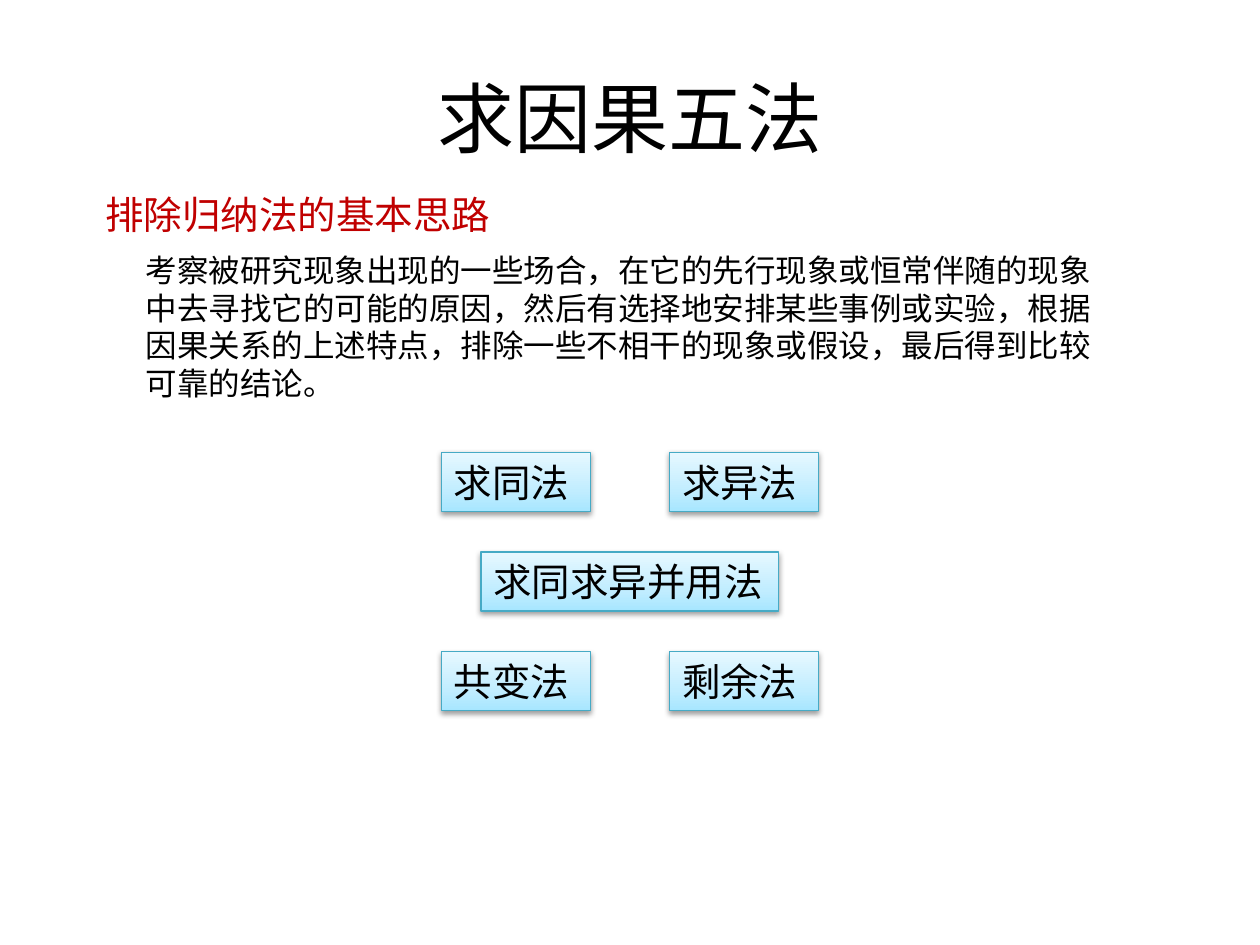
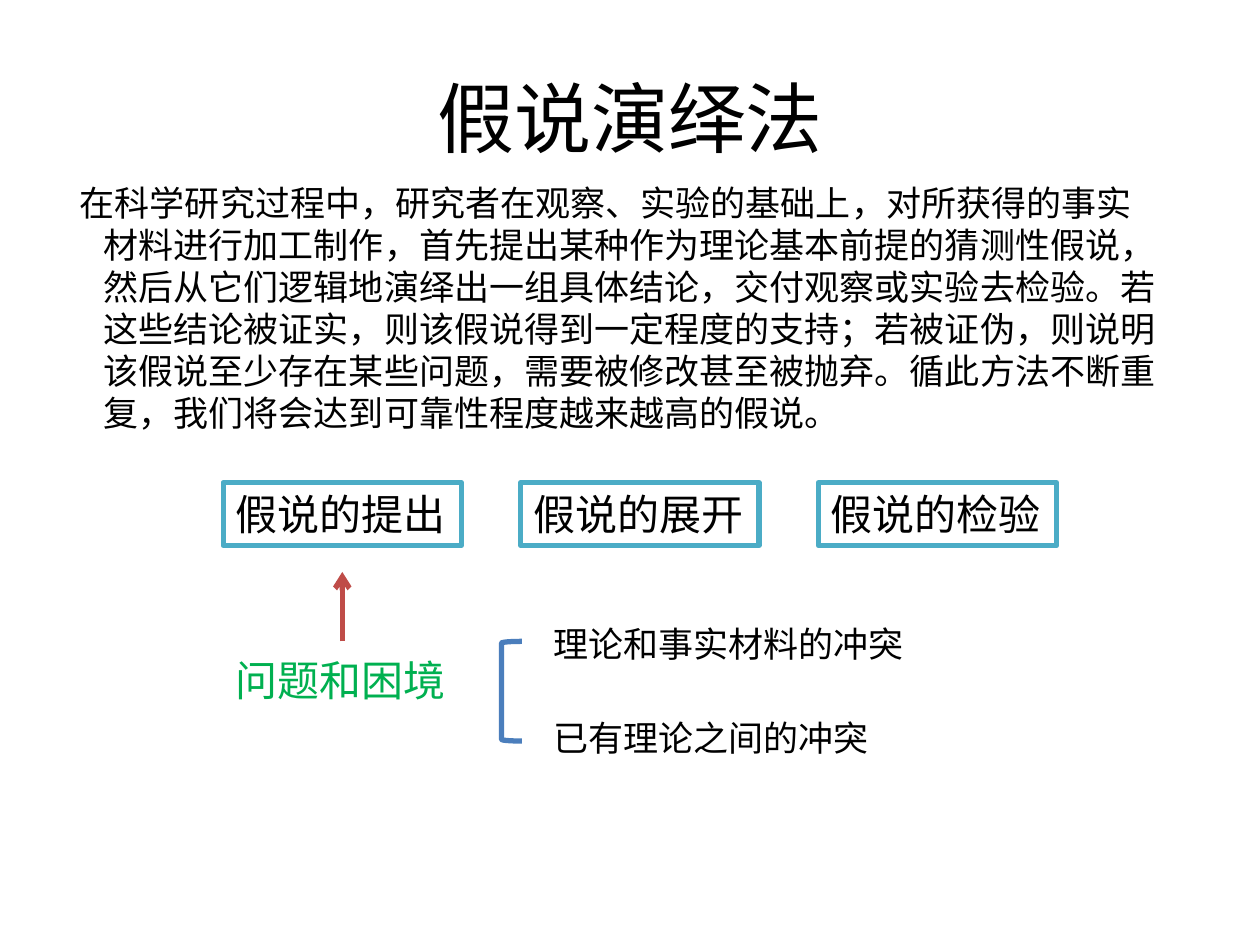
from copy import deepcopy

from lxml.etree import SubElement
from pptx import Presentation
from pptx.dml.color import RGBColor
from pptx.enum.shapes import MSO_CONNECTOR, MSO_SHAPE
from pptx.enum.text import MSO_ANCHOR, PP_ALIGN
from pptx.oxml.ns import qn
from pptx.util import Cm, Pt

BLACK = RGBColor(0x00, 0x00, 0x00)
WHITE = RGBColor(0xFF, 0xFF, 0xFF)
HEADING_RED = RGBColor(0xC0, 0x00, 0x00)
LABEL_GREEN = RGBColor(0x00, 0xB0, 0x50)
ARROW_RED = RGBColor(0xBF, 0x4C, 0x48)
BRACKET_BLUE = RGBColor(0x4B, 0x7E, 0xBC)
STAGE_TEAL = RGBColor(0x4B, 0xAC, 0xC6)
METHOD_TEAL = RGBColor(0x46, 0xAA, 0xC5)
METHOD_STOPS = [
    (0, RGBColor(0xA7, 0xE6, 0xFF)),
    (0.35, RGBColor(0xC1, 0xED, 0xFF)),
    (1, RGBColor(0xE7, 0xF8, 0xFF)),
]
FONT_SC = "Noto Sans CJK SC"
FONT_JP = "Noto Sans CJK JP"


def write_text(shape, text, size=22, color=BLACK, font=FONT_SC, align=PP_ALIGN.LEFT,
               anchor=MSO_ANCHOR.TOP, margin=0, indent=0):
    frame = shape.text_frame
    frame.word_wrap = True
    frame.vertical_anchor = anchor
    paragraph = frame.paragraphs[0]
    paragraph.alignment = align
    paragraph.line_spacing = Pt(round(size * 1.2, 1))
    properties = paragraph._p.get_or_add_pPr()
    properties.set("marL", str(Cm(margin)))
    properties.set("indent", str(Cm(indent)))
    run = paragraph.add_run()
    run.text = text
    run.font.size = Pt(size)
    run.font.color.rgb = color
    run.font.name = font
    SubElement(run._r.get_or_add_rPr(), qn("a:ea"), typeface=font)


def add_text(slide, text, left, top, width, height, **text_format):
    shape = slide.shapes.add_textbox(Cm(left), Cm(top), Cm(width), Cm(height))
    write_text(shape, text, **text_format)


def add_outlined(slide, kind, left, top, width, height, color, weight):
    shape = slide.shapes.add_shape(kind, Cm(left), Cm(top), Cm(width), Cm(height))
    shape.shadow.inherit = False
    shape.line.color.rgb = color
    shape.line.width = Pt(weight)
    return shape


def add_title(slide, text):
    add_text(slide, text, 1.27, 0.76, 22.86, 3.18, size=44, font=FONT_JP,
             align=PP_ALIGN.CENTER, anchor=MSO_ANCHOR.MIDDLE)


def add_method(slide, text, left, top, width, height):
    shape = add_outlined(slide, MSO_SHAPE.RECTANGLE, left, top, width, height,
                         METHOD_TEAL, 0.75)
    shape.fill.gradient()
    shape.fill.gradient_angle = 90
    properties = shape._element.spPr
    stop_list = properties.find(".//" + qn("a:gsLst"))
    stop_list.append(deepcopy(stop_list[0]))
    for stop, (position, color) in zip(shape.fill.gradient_stops, METHOD_STOPS):
        stop.position = position
        stop.color.rgb = color
    shadow = SubElement(properties.find(qn("a:effectLst")), qn("a:outerShdw"),
                        blurRad="40000", dist="20000", dir="5400000", rotWithShape="0")
    shade = SubElement(shadow, qn("a:srgbClr"), val="000000")
    SubElement(shade, qn("a:alpha"), val="38000")
    write_text(shape, text)


def add_methods(slide, rows, left, top, width):
    unit, height, pitch = 3, 1.19, 2.01
    for index, row in enumerate(rows):
        row_top = top + index * pitch
        if len(row) == 1:
            add_method(slide, row[0], left + width / 2 - unit, row_top, 2 * unit, height)
        else:
            for column, text in enumerate(row):
                add_method(slide, text, left + column * (width - unit), row_top, unit, height)


def add_stages(slide, texts, left, top, width, height, pitch):
    for index, text in enumerate(texts):
        shape = add_outlined(slide, MSO_SHAPE.RECTANGLE, left + index * pitch, top,
                             width, height, STAGE_TEAL, 3)
        shape.fill.solid()
        shape.fill.fore_color.rgb = WHITE
        write_text(shape, text, size=24)


def add_arrow_up(slide, x, bottom, top):
    arrow = slide.shapes.add_connector(MSO_CONNECTOR.STRAIGHT, Cm(x), Cm(bottom), Cm(x), Cm(top))
    arrow.line.color.rgb = ARROW_RED
    arrow.line.width = Pt(3)
    SubElement(arrow.line._get_or_add_ln(), qn("a:tailEnd"), type="arrow")
    SubElement(arrow._element.spPr, qn("a:effectLst"))


def add_origin(slide, label, causes, left, top):
    add_arrow_up(slide, left + 2.4, top + 1.4, top)
    add_text(slide, label, left, top + 1.53, 5.79, 1.27, size=24, color=LABEL_GREEN)
    bracket = add_outlined(slide, MSO_SHAPE.LEFT_BRACKET, left + 5.61, top + 1.4,
                           0.41, 2.01, BRACKET_BLUE, 3)
    bracket.fill.background()
    for index, cause in enumerate(causes):
        add_text(slide, cause, left + 6.4, top + 0.89 + index * 1.9, 8.79, 1.12,
                 size=20, font=FONT_JP)


def build_causes_slide(slide):
    add_title(slide, "求因果五法")
    add_text(slide, "排除归纳法的基本思路", 1.88, 3.73, 8.43, 1.47, color=HEADING_RED,
             margin=0.95, indent=-0.95)
    add_text(slide, "考察被研究现象出现的一些场合，在它的先行现象或恒常伴随的现象中去寻找它的可能的原因，"
             "然后有选择地安排某些事例或实验，根据因果关系的上述特点，排除一些不相干的现象或假设，"
             "最后得到比较可靠的结论。", 2.69, 4.93, 19.61, 3.33, size=18)
    rows = [("求同法", "求异法"), ("求同求异并用法",), ("共变法", "剩余法")]
    add_methods(slide, rows, 8.9, 9.12, 7.6)


def build_hypothesis_slide(slide):
    add_title(slide, "假说演绎法")
    add_text(slide, "在科学研究过程中，研究者在观察、实验的基础上，对所获得的事实材料进行加工制作，"
             "首先提出某种作为理论基本前提的猜测性假说，然后从它们逻辑地演绎出一组具体结论，"
             "交付观察或实验去检验。若这些结论被证实，则该假说得到一定程度的支持；若被证伪，"
             "则说明该假说至少存在某些问题，需要被修改甚至被抛弃。循此方法不断重复，"
             "我们将会达到可靠性程度越来越高的假说。", 0.89, 3.53, 22.86, 5.69, size=20,
             margin=0.95, indent=-0.48)
    add_stages(slide, ["假说的提出", "假说的展开", "假说的检验"], 4.5, 9.73, 4.8, 1.27, 6)
    add_origin(slide, "问题和困境", ["理论和事实材料的冲突", "已有理论之间的冲突"], 4.5, 11.53)


presentation = Presentation()
presentation.slide_width = Cm(25.4)
presentation.slide_height = Cm(19.05)
for build_slide in (build_causes_slide, build_hypothesis_slide):
    build_slide(presentation.slides.add_slide(presentation.slide_layouts[6]))
presentation.save("out.pptx")
